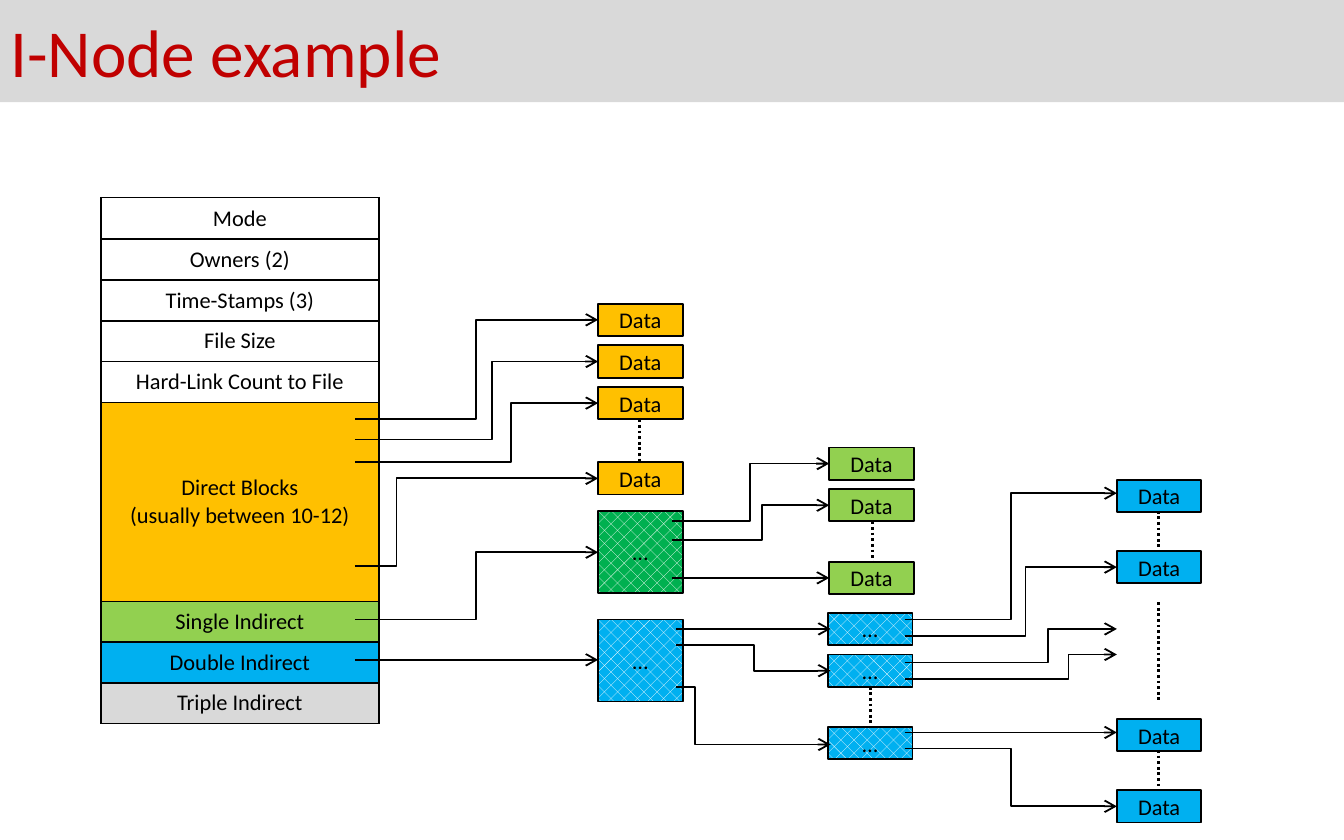
from lxml.etree import SubElement
from pptx import Presentation
from pptx.dml.color import RGBColor
from pptx.enum.dml import MSO_LINE, MSO_PATTERN
from pptx.enum.shapes import MSO_CONNECTOR as Connector, MSO_SHAPE as Shape
from pptx.enum.text import MSO_ANCHOR as Anchor, PP_ALIGN as Align
from pptx.oxml.ns import qn
from pptx.util import Inches, Pt

COLORS = {
    "black": "000000", "white": "FFFFFF", "red": "C00000", "gray": "D9D9D9",
    "orange": "FFC000", "lime": "92D050", "green": "00B050", "blue": "00B0F0",
}
FONT = "Calibri"
BOX_WIDTH, BOX_HEIGHT, INDEX_HEIGHT = 0.63, 0.24, 0.61
DIRECT_LEFT, SINGLE_LEFT, DOUBLE_INDEX_LEFT, DOUBLE_LEFT = 4.45, 6.17, 6.16, 8.31

INODE_ROWS = [
    ("Mode", 0.31, "white"),
    ("Owners (2)", 0.3, "white"),
    ("Time-Stamps (3)", 0.3, "white"),
    ("File Size", 0.3, "white"),
    ("Hard-Link Count to File", 0.3, "white"),
    ("Direct Blocks\n(usually between 10-12)", 1.48, "orange"),
    ("Single Indirect", 0.3, "lime"),
    ("Double Indirect", 0.3, "blue"),
    ("Triple Indirect", 0.3, "gray"),
]

# left, fill colour, tops
DATA_COLUMNS = [
    (DIRECT_LEFT, "orange", [2.26, 2.57, 2.88, 3.44]),
    (SINGLE_LEFT, "lime", [3.33, 3.64, 4.18]),
    (DOUBLE_LEFT, "blue", [3.57, 4.1, 5.35, 5.88]),
]

# left, top, height, fill colour
INDEX_BLOCKS = [
    (DIRECT_LEFT, 3.8, INDEX_HEIGHT, "green"),
    (DIRECT_LEFT, 4.61, INDEX_HEIGHT, "blue"),
    (DOUBLE_INDEX_LEFT, 4.56, BOX_HEIGHT, "blue"),
    (DOUBLE_INDEX_LEFT, 4.87, BOX_HEIGHT, "blue"),
    (DOUBLE_INDEX_LEFT, 5.41, BOX_HEIGHT, "blue"),
]

# start x, end x, then start y, end y and x of the bend for each pointer
POINTERS = [
    (2.64, DIRECT_LEFT, [
        (3.12, 2.38, 3.54), (3.27, 2.69, 3.66), (3.44, 3, 3.8),
        (4.21, 3.56, 2.95), (4.61, 4.11, 3.54), (4.91, 4.91, 3.54)]),
    (5, SINGLE_LEFT, [
        (3.88, 3.45, 5.58), (4.02, 3.76, 5.67), (4.3, 4.3, 5.59)]),
    (5.03, 6.18, [
        (4.68, 4.68, 5.61), (4.8, 4.99, 5.61), (5.11, 5.54, 5.17)]),
    (6.73, DOUBLE_LEFT, [
        (4.61, 3.67, 7.52), (4.73, 4.22, 7.63), (4.93, 4.68, 7.8),
        (5.05, 4.87, 7.95), (5.45, 5.45, 7.52), (5.57, 6, 7.52)]),
]

# x, start y, end y
ELLIPSES = [
    (4.76, 3.12, 3.44), (6.49, 3.88, 4.18), (6.48, 5.11, 5.41),
    (8.62, 3.8, 4.1), (8.62, 4.48, 5.21), (8.62, 5.58, 5.88),
]


def color(name):
    """Return the named colour."""
    return RGBColor.from_string(COLORS[name])


def set_text(frame, text, size=12, ink="black", align=Align.CENTER):
    """Write text into a frame and format it."""
    frame.text = text
    for para in frame.paragraphs:
        para.alignment = align
        for span in para.runs:
            span.font.name = FONT
            span.font.size = Pt(size)
            span.font.color.rgb = color(ink)


def add_box(slide, left, top, width, height, fill):
    """Add a plain filled rectangle."""
    box = slide.shapes.add_shape(
        Shape.RECTANGLE, Inches(left), Inches(top), Inches(width), Inches(height))
    box.shadow.inherit = False
    box.fill.solid()
    box.fill.fore_color.rgb = color(fill)
    box.text_frame.word_wrap = True
    box.text_frame.vertical_anchor = Anchor.MIDDLE
    return box


def add_title(slide, text):
    """Add the title band."""
    band = add_box(slide, -0.02, 0, 10.02, 0.76, "gray")
    band.line.fill.background()
    set_text(band.text_frame, text, 36, "red", Align.LEFT)


def add_block(slide, left, top, height, fill, text):
    """Add an outlined disk block."""
    block = add_box(slide, left, top, BOX_WIDTH, height, fill)
    block.line.color.rgb = color("black")
    block.line.width = Pt(1)
    set_text(block.text_frame, text)
    return block


def add_index_block(slide, left, top, height, fill):
    """Add a patterned block that holds pointers."""
    block = add_block(slide, left, top, height, fill, "…")
    block.fill.patterned()
    block.fill.pattern = MSO_PATTERN.PERCENT_30
    block.fill.fore_color.rgb = color("white")
    block.fill.back_color.rgb = color(fill)


def add_line(slide, kind, start, end, width):
    """Add a black connector without shadow."""
    line = slide.shapes.add_connector(
        kind, *(Inches(value) for value in (*start, *end)))
    line.line.color.rgb = color("black")
    line.line.width = Pt(width)
    SubElement(line._element.spPr, qn("a:effectLst"))
    return line


def add_pointer(slide, start, end, bend):
    """Add an elbow arrow that turns at x = bend."""
    pointer = add_line(slide, Connector.ELBOW, start, end, 1)
    ratio = (bend - start[0]) / (end[0] - start[0])
    adjustments = pointer._element.spPr.find(qn("a:prstGeom")).find(qn("a:avLst"))
    SubElement(adjustments, qn("a:gd"), name="adj1", fmla=f"val {round(ratio * 100000)}")
    SubElement(pointer.line._get_or_add_ln(), qn("a:tailEnd"), type="arrow")


def add_ellipsis(slide, x, top, bottom):
    """Add a vertical dotted line between blocks."""
    dots = add_line(slide, Connector.STRAIGHT, (x, top), (x, bottom), 1.5)
    dots.line.dash_style = MSO_LINE.ROUND_DOT


def add_borders(cell):
    """Draw a thin black border around a cell."""
    properties = cell._tc.get_or_add_tcPr()
    for side in ("lnL", "lnR", "lnT", "lnB"):
        border = SubElement(properties, qn(f"a:{side}"), w=str(Pt(1)))
        fill = SubElement(border, qn("a:solidFill"))
        SubElement(fill, qn("a:srgbClr"), val=COLORS["black"])


def add_inode_table(slide):
    """Add the table of i-node fields."""
    total = sum(height for _, height, _ in INODE_ROWS)
    table = slide.shapes.add_table(
        len(INODE_ROWS), 1, Inches(0.75), Inches(1.47), Inches(2.07), Inches(total)).table
    table.first_row = table.horz_banding = False
    for row, (text, height, fill) in zip(table.rows, INODE_ROWS):
        row.height = Inches(height)
        cell = row.cells[0]
        cell.vertical_anchor = Anchor.MIDDLE
        set_text(cell.text_frame, text)
        add_borders(cell)
        cell.fill.solid()
        cell.fill.fore_color.rgb = color(fill)


def main():
    """Build the slide and save it."""
    deck = Presentation()
    deck.slide_width, deck.slide_height = Inches(10), Inches(6.25)
    page = deck.slides.add_slide(deck.slide_layouts[6])
    add_title(page, "I-Node example")
    add_inode_table(page)
    for left, fill, tops in DATA_COLUMNS:
        for top in tops:
            add_block(page, left, top, BOX_HEIGHT, fill, "Data")
    for index_block in INDEX_BLOCKS:
        add_index_block(page, *index_block)
    for start_x, end_x, routes in POINTERS:
        for start_y, end_y, bend in routes:
            add_pointer(page, (start_x, start_y), (end_x, end_y), bend)
    for ellipsis in ELLIPSES:
        add_ellipsis(page, *ellipsis)
    deck.save("out.pptx")


main()
